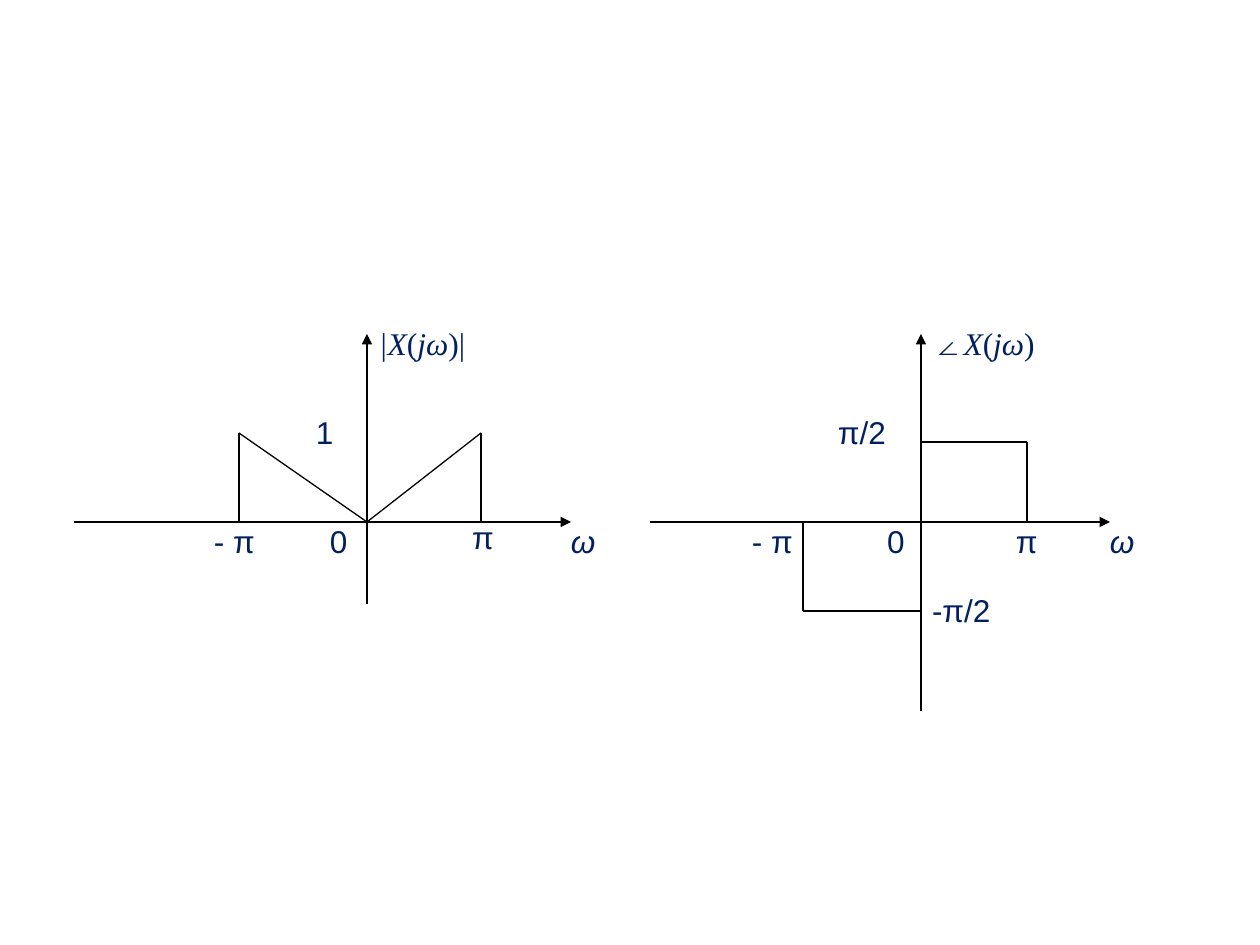
import pptx
import pptx.util
import pptx.dml.color
import pptx.enum.shapes
import pptx.enum.text
import pptx.oxml.ns
import lxml.etree

COLORS = {"line": "000000", "text": "002060"}
SANS, SERIF = "Arial", "Times New Roman"
BASELINE, AXIS_TOP, LABEL_HEIGHT = 522, 334, 50
LEFT, CENTER = pptx.enum.text.PP_ALIGN.LEFT, pptx.enum.text.PP_ALIGN.CENTER

PHASE = {
    "axis": {"left": 650, "right": 1110, "origin": 921, "bottom": 711},
    "curve": [
        (921, 442, 1027, 442),
        (803, BASELINE, 803, 611),
        (1027, 442, 1027, BASELINE),
        (921, 611, 803, 611),
    ],
    "labels": [
        (932, 324, 118, SERIF, LEFT, [("∠X", True), ("(", False), ("jω", True), (")", False)]),
        (1110, BASELINE, 47, SANS, LEFT, [("ω", True)]),
        (887, BASELINE, 47, SANS, LEFT, [("0", False)]),
        (1016, BASELINE, 47, SANS, LEFT, [("π", False)]),
        (752, BASELINE, 73, SANS, LEFT, [("- π", False)]),
        (932, 591, 106, SANS, LEFT, [("-π/2", False)]),
        (838, 413, 82, SANS, LEFT, [("π/2", False)]),
    ],
}
MAGNITUDE = {
    "axis": {"left": 74, "right": 571, "origin": 367, "bottom": 604},
    "curve": [
        (367, BASELINE, 481, 433),
        (239, 433, 239, BASELINE),
        (481, 433, 481, BASELINE),
        (367, BASELINE, 239, 433),
    ],
    "labels": [
        (379, 324, 127, SERIF, LEFT, [("|X", True), ("(", False), ("jω", True), (")|", False)]),
        (571, BASELINE, 49, SANS, LEFT, [("ω", True)]),
        (330, BASELINE, 49, SANS, LEFT, [("0", False)]),
        (316, 413, 49, SANS, LEFT, [("1", False)]),
        (214, BASELINE, 49, SANS, LEFT, [("- π", False)]),
        (459, 518, 48, SANS, CENTER, [("π", False)]),
    ],
}


def px(length):
    return pptx.util.Emu(round(length * 914400 / 126))


def add_line(group, ends, arrow=False):
    line = group.shapes.add_connector(
        pptx.enum.shapes.MSO_CONNECTOR.STRAIGHT, *map(px, ends))
    line.line.width = pptx.util.Pt(0.75)
    line.line.color.rgb = pptx.dml.color.RGBColor.from_string(COLORS["line"])
    if arrow:
        outline = line.line._get_or_add_ln()
        lxml.etree.SubElement(outline, pptx.oxml.ns.qn("a:tailEnd"), type="triangle")
    lxml.etree.SubElement(line._element.spPr, pptx.oxml.ns.qn("a:effectLst"))


def add_label(group, left, top, width, font, align, spans):
    box = group.shapes.add_textbox(px(left), px(top), px(width), px(LABEL_HEIGHT))
    frame = box.text_frame
    frame.word_wrap = True
    frame.margin_left = frame.margin_right = frame.margin_top = frame.margin_bottom = 0
    para = frame.paragraphs[0]
    para.alignment = align
    for text, italic in spans:
        span = para.add_run()
        span.text = text
        span.font.name = font
        span.font.size = pptx.util.Pt(18)
        span.font.italic = italic
        span.font.color.rgb = pptx.dml.color.RGBColor.from_string(COLORS["text"])


def add_plot(slide, plot):
    group = slide.shapes.add_group_shape()
    axis = plot["axis"]
    add_line(group, (axis["left"], BASELINE, axis["right"], BASELINE), arrow=True)
    add_line(group, (axis["origin"], axis["bottom"], axis["origin"], AXIS_TOP), arrow=True)
    for ends in plot["curve"]:
        add_line(group, ends)
    for label in plot["labels"]:
        add_label(group, *label)


def main():
    deck = pptx.Presentation()
    deck.slide_width, deck.slide_height = px(1260), px(945)
    slide = deck.slides.add_slide(deck.slide_layouts[6])
    for plot in (PHASE, MAGNITUDE):
        add_plot(slide, plot)
    deck.save("out.pptx")


if __name__ == "__main__":
    main()
